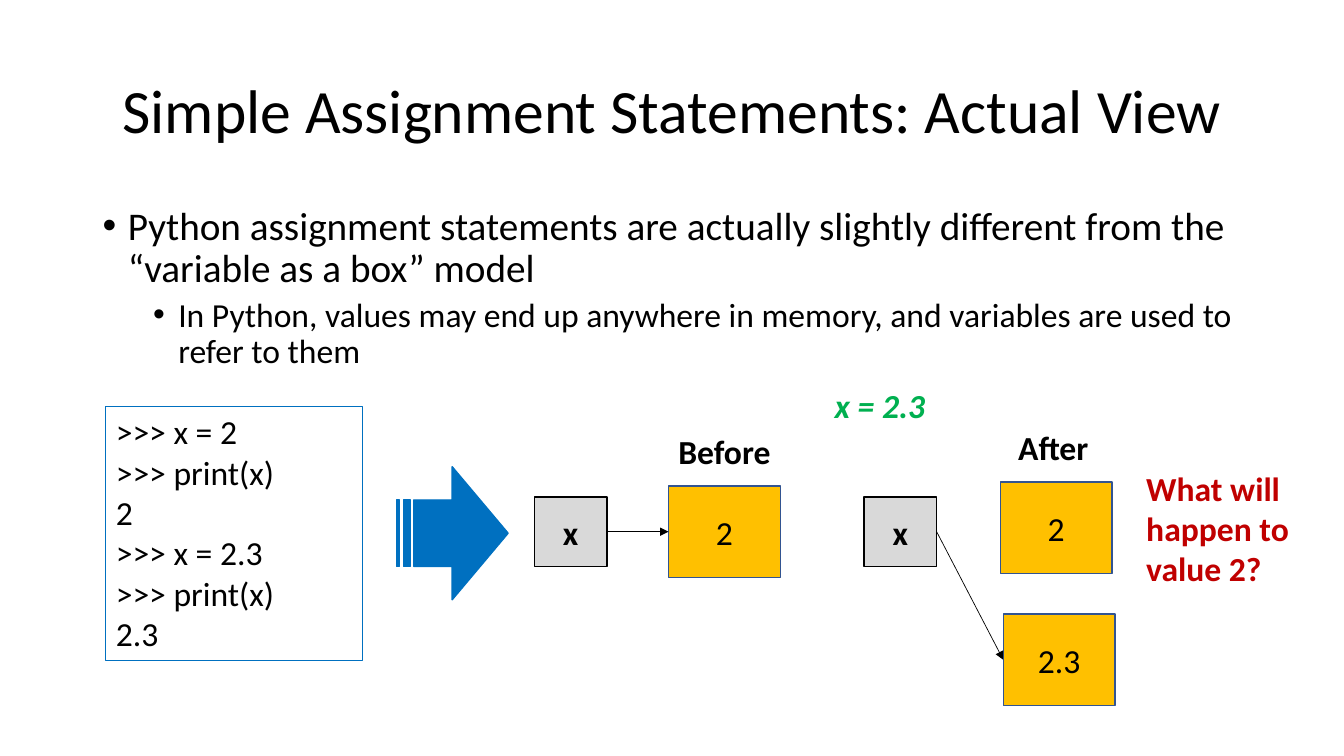
import lxml.etree
import pptx
import pptx.util
import pptx.dml.color
import pptx.enum.shapes
import pptx.enum.text
import pptx.oxml.ns
from pptx.util import Inches

SHAPE = pptx.enum.shapes.MSO_SHAPE
ALIGN = pptx.enum.text.PP_ALIGN
ANCHOR = pptx.enum.text.MSO_ANCHOR
BLACK, BLUE, GREEN, RED = "000000", "0070C0", "00B050", "C00000"
AMBER, NAVY, GREY = "FFC000", "325491", "D9D9D9"
RIGHT, LEFT = 3, 1


def rgb(value):
    return pptx.dml.color.RGBColor.from_string(value)


def add_xml(parent, tag, **attributes):
    lxml.etree.SubElement(parent, pptx.oxml.ns.qn(tag), **attributes)


def style(p, size=24, color=BLACK, bold=False, italic=False):
    for r in p.runs:
        r.font.name = "Calibri"
        r.font.size = pptx.util.Pt(size)
        r.font.color.rgb = rgb(color)
        r.font.bold = bold
        r.font.italic = italic


def add_text(s, at, text, wrap=False, **font):
    tf = s.shapes.add_textbox(*map(Inches, at)).text_frame
    tf.word_wrap = wrap
    tf.text = text
    for p in tf.paragraphs:
        style(p, **font)
    return tf


def add_shape(s, kind, at, fill, line, width=1):
    sp = s.shapes.add_shape(kind, *map(Inches, at))
    sp.shadow.inherit = False
    if fill:
        sp.fill.solid()
        sp.fill.fore_color.rgb = rgb(fill)
    else:
        sp.fill.background()
    sp.line.color.rgb = rgb(line)
    sp.line.width = pptx.util.Pt(width)
    return sp


def add_box(s, at, text, fill, line, bold=False):
    sp = add_shape(s, SHAPE.RECTANGLE, at, fill, line)
    tf = sp.text_frame
    tf.vertical_anchor = ANCHOR.MIDDLE
    tf.text = text
    p = tf.paragraphs[0]
    p.alignment = ALIGN.CENTER
    style(p, bold=bold)
    return sp


def add_variable(s, left):
    return add_box(s, (left, 4.93, 0.72, 0.69), "x", GREY, BLACK, bold=True)


def add_value(s, left, top, text):
    return add_box(s, (left, top, 1.11, 0.91), text, AMBER, NAVY)


def add_reference(s, variable, value):
    line = s.shapes.add_connector(pptx.enum.shapes.MSO_CONNECTOR.STRAIGHT, 0, 0, 0, 0)
    line.begin_connect(variable, RIGHT)
    line.end_connect(value, LEFT)
    line.line.color.rgb = rgb(BLACK)
    line.line.width = pptx.util.Pt(0.5)
    spPr = line._element.spPr
    add_xml(spPr.find(pptx.oxml.ns.qn("a:ln")), "a:tailEnd", type="triangle")
    add_xml(spPr, "a:effectLst")


def add_bullets(s, at, items):
    tf = add_text(s, at, "\n".join(text for text, *_ in items), wrap=True)
    for p, (_, level, size, before) in zip(tf.paragraphs, items):
        p.level = level
        p.line_spacing = 0.9
        p.space_before = pptx.util.Pt(before)
        pPr = p._p.get_or_add_pPr()
        pPr.set("marL", str(Inches(0.25 + 0.5 * level)))
        pPr.set("indent", str(Inches(-0.25)))
        add_xml(pPr, "a:buFont", typeface="Arial")
        add_xml(pPr, "a:buChar", char="•")
        style(p, size)


def main():
    prs = pptx.Presentation()
    prs.slide_width, prs.slide_height = Inches(13.33), Inches(7.5)
    s = prs.slides.add_slide(prs.slide_layouts[6])

    # Title and bullets
    title = add_text(s, (0.92, 0.4, 11.5, 1.45),
                     "Simple Assignment Statements: Actual View", wrap=True, size=44)
    title.vertical_anchor = ANCHOR.MIDDLE
    title.paragraphs[0].alignment = ALIGN.CENTER
    title.paragraphs[0].line_spacing = 0.9
    add_bullets(s, (0.92, 2, 11.82, 1.8), [
        ("Python assignment statements are actually slightly different from the "
         "“variable as a box” model", 0, 28, 0),
        ("In Python, values may end up anywhere in memory, and variables are used "
         "to refer to them", 1, 24, 5),
    ])

    # Interpreter session
    code = add_shape(s, SHAPE.RECTANGLE, (1.05, 4.03, 2.55, 2.52), None, BLUE, 0.75)
    tf = code.text_frame
    tf.vertical_anchor = ANCHOR.TOP
    tf.text = ">>> x = 2\n>>> print(x)\n2\n>>> x = 2.3\n>>> print(x)\n2.3"
    for p in tf.paragraphs:
        p.alignment = ALIGN.LEFT
        style(p)
    add_shape(s, SHAPE.STRIPED_RIGHT_ARROW, (3.93, 4.63, 1.11, 1.32), BLUE, BLUE)

    # Memory before the assignment
    add_text(s, (6.63, 4.23, 1.13, 0.5), "Before", bold=True)
    add_reference(s, add_variable(s, 5.3), add_value(s, 6.63, 4.82, "2"))

    # Memory after the assignment
    add_text(s, (8.18, 3.77, 1.1, 0.5), "x = 2.3", color=GREEN, bold=True, italic=True)
    add_text(s, (10, 4.19, 0.91, 0.5), "After", bold=True)
    add_value(s, 9.92, 4.78, "2")
    add_reference(s, add_variable(s, 8.57), add_value(s, 9.95, 6.09, "2.3"))
    add_text(s, (11.27, 4.59, 1.71, 1.31), "What will \vhappen to \vvalue 2?",
             color=RED, bold=True)

    prs.save("out.pptx")


if __name__ == "__main__":
    main()
